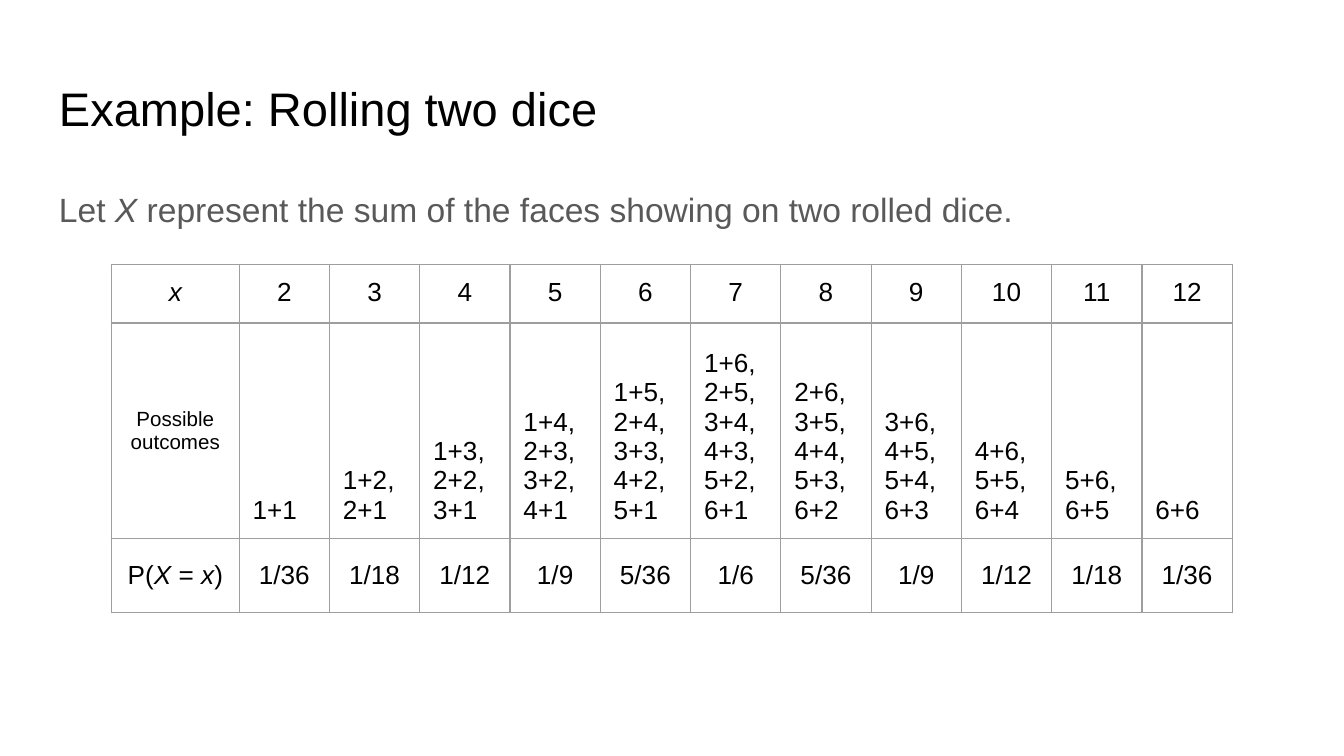
import math
from dataclasses import dataclass

import pptx
import pptx.dml.color
import pptx.enum.text
import pptx.oxml
import pptx.oxml.ns
import pptx.util
from pptx.util import Inches


@dataclass(frozen=True)
class Theme:
    font: str = "Arial"
    black: str = "000000"
    gray: str = "595959"
    border: str = "9E9E9E"
    title_size: float = 25.2
    body_size: float = 18
    cell_size: float = 14
    label_size: float = 11


theme = Theme()
ANCHOR = pptx.enum.text.MSO_ANCHOR
ALIGN = pptx.enum.text.PP_ALIGN


def write(paragraph, text, size, color):
    """Write text into a paragraph; parts between asterisks are italic."""
    for index, part in enumerate(text.split("*")):
        if part:
            run = paragraph.add_run()
            run.text = part
            run.font.name = theme.font
            run.font.size = pptx.util.Pt(size)
            run.font.italic = index % 2 == 1
            run.font.color.rgb = pptx.dml.color.RGBColor.from_string(color)


def set_borders(cell):
    """Draw a thin line on all four sides of a cell."""
    properties = cell._tc.get_or_add_tcPr()
    for position, side in enumerate(("lnL", "lnR", "lnT", "lnB")):
        line = pptx.oxml.parse_xml(
            f'<a:{side} {pptx.oxml.ns.nsdecls("a")} w="{pptx.util.Pt(0.75)}">'
            f'<a:solidFill><a:srgbClr val="{theme.border}"/></a:solidFill></a:{side}>'
        )
        properties.insert(position, line)


# Widescreen slide, 16 to 9
presentation = pptx.Presentation()
presentation.slide_width = Inches(10)
presentation.slide_height = Inches(10 * 9 / 16)
slide = presentation.slides.add_slide(presentation.slide_layouts[6])

# Title and introduction
intro = "Let *X* represent the sum of the faces showing on two rolled dice."
for text, top, height, size, color, line_spacing in (
    ("Example: Rolling two dice", 0.49, 0.63, theme.title_size, theme.black, 1.0),
    (intro, 1.26, 3.74, theme.body_size, theme.gray, 1.15),
):
    box = slide.shapes.add_textbox(Inches(0.34), Inches(top), Inches(9.32), Inches(height))
    frame = box.text_frame
    frame.word_wrap = True
    frame.margin_left = frame.margin_right = Inches(0.1)
    frame.margin_top = frame.margin_bottom = Inches(0.1)
    frame.paragraphs[0].line_spacing = line_spacing
    write(frame.paragraphs[0], text, size, color)

# Sums, outcomes and probabilities
rows = [["*x*"], ["Possible outcomes"], ["P(*X* = *x*)"]]
for total in range(2, 13):
    outcomes = [
        f"{first}+{total - first}" for first in range(1, 7) if 1 <= total - first <= 6
    ]
    divisor = math.gcd(len(outcomes), 36)
    rows[0].append(str(total))
    rows[1].append(", ".join(outcomes))
    rows[2].append(f"{len(outcomes) // divisor}/{36 // divisor}")

# Distribution table; the outcomes row grows with its text
table_width = 8.34
label_width = 0.95
column_widths = [label_width] + [(table_width - label_width) / 11] * 11
row_heights = [0.43, 0.55, 0.55]
table = slide.shapes.add_table(
    len(rows), len(column_widths), Inches(0.83), Inches(1.97),
    Inches(table_width), Inches(sum(row_heights)),
).table
table.first_row = False
table.horz_banding = False
for column, width in zip(table.columns, column_widths):
    column.width = Inches(width)
for row, height in zip(table.rows, row_heights):
    row.height = Inches(height)

for row_index, row_texts in enumerate(rows):
    for column_index, text in enumerate(row_texts):
        cell = table.cell(row_index, column_index)
        is_outcome = row_index == 1 and column_index > 0
        is_label = row_index == 1 and column_index == 0
        cell.fill.background()
        cell.margin_left = cell.margin_right = Inches(0.1)
        cell.margin_top = cell.margin_bottom = Inches(0.1)
        if is_outcome:
            cell.vertical_anchor = ANCHOR.BOTTOM
        else:
            cell.vertical_anchor = ANCHOR.TOP if row_index == 0 else ANCHOR.MIDDLE
        paragraph = cell.text_frame.paragraphs[0]
        paragraph.alignment = ALIGN.LEFT if is_outcome else ALIGN.CENTER
        size = theme.label_size if is_label else theme.cell_size
        write(paragraph, text, size, theme.black)
        set_borders(cell)

presentation.save("out.pptx")
